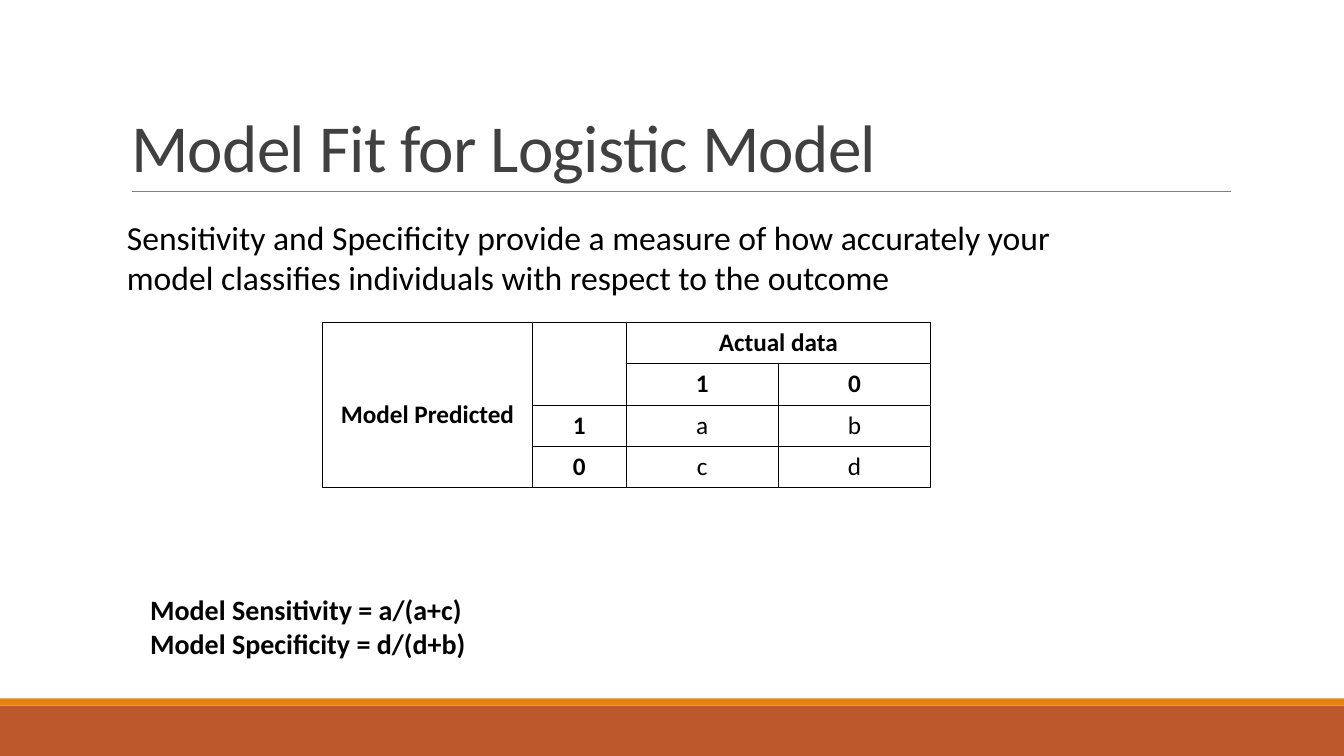
from dataclasses import dataclass

from lxml import etree
from pptx import Presentation
from pptx.dml.color import RGBColor
from pptx.enum.shapes import MSO_CONNECTOR, MSO_SHAPE
from pptx.enum.text import MSO_ANCHOR, MSO_AUTO_SIZE, PP_ALIGN
from pptx.oxml.ns import qn
from pptx.util import Inches, Pt

RECTANGLE = MSO_SHAPE.RECTANGLE
STRAIGHT = MSO_CONNECTOR.STRAIGHT
CENTER, LEFT = PP_ALIGN.CENTER, PP_ALIGN.LEFT
BOTTOM = MSO_ANCHOR.BOTTOM
FIT_SHAPE = MSO_AUTO_SIZE.SHAPE_TO_FIT_TEXT
NO_FIT = MSO_AUTO_SIZE.NONE

FONT = "Calibri"
COLORS = {
    "rust": "BD582C",
    "orange": "E48312",
    "rule": "808080",
    "title": "404040",
    "text": "000000",
}
BORDER_WIDTH = Pt(1)


@dataclass
class Band:
    top: float
    height: float
    color: str


@dataclass
class Note:
    left: float
    top: float
    width: float
    height: float
    size: int
    bold: bool
    wrap: bool
    lines: list[str]


@dataclass
class Label:
    row: int
    column: int
    text: str
    bold: bool = True


BANDS = [Band(7, 0.5, "rust"), Band(6.93, 0.07, "orange")]

NOTES = [
    Note(1.39, 5.83, 3.36, 0.77, 20, True, False,
         ["Model Sensitivity = a/(a+c)", "Model Specificity = d/(d+b)"]),
    Note(1.16, 2.1, 10.12, 0.91, 24, False, True,
         ["Sensitivity and Specificity provide a measure of how accurately your "
          "model classifies individuals with respect to the outcome"]),
]

COLUMN_WIDTHS = [2.08, 0.93, 1.51, 1.51]
ROW_HEIGHT = 0.41
ROW_COUNT = 4
# First and last cell of each merged area, as (row, column)
MERGES = [((0, 1), (1, 1)), ((0, 2), (0, 3)), ((1, 0), (3, 0))]
LABELS = [
    Label(0, 2, "Actual data"),
    Label(1, 0, "Model Predicted"),
    Label(1, 2, "1"), Label(1, 3, "0"),
    Label(2, 1, "1"), Label(2, 2, "a", False), Label(2, 3, "b", False),
    Label(3, 1, "0"), Label(3, 2, "c", False), Label(3, 3, "d", False),
]


def rgb(color: str) -> RGBColor:
    return RGBColor.from_string(COLORS[color])


def write(paragraph, text: str, size: int, bold: bool = False,
          color: str = "text", alignment=LEFT):
    run = paragraph.add_run()
    run.text = text
    paragraph.alignment = alignment
    formats = {"name": FONT, "size": Pt(size), "bold": bold}
    for attribute, value in formats.items():
        setattr(run.font, attribute, value)
    run.font.color.rgb = rgb(color)
    return run


def draw_band(slide, band: Band, width: int) -> None:
    shape = slide.shapes.add_shape(
        RECTANGLE, 0, Inches(band.top), width, Inches(band.height))
    shape.shadow.inherit = False
    shape.fill.solid()
    shape.fill.fore_color.rgb = rgb(band.color)
    shape.line.fill.background()


def draw_rule(slide) -> None:
    rule = slide.shapes.add_connector(
        STRAIGHT, Inches(1.31), Inches(1.9), Inches(12.21), Inches(1.9))
    rule.line.color.rgb = rgb("rule")
    rule.line.width = Pt(0.5)
    etree.SubElement(rule._element.spPr, qn("a:effectLst"))


def draw_title(slide, text: str) -> None:
    title = slide.shapes.title
    places = {"left": 1.2, "top": 0.31, "width": 11, "height": 1.59}
    for attribute, value in places.items():
        setattr(title, attribute, Inches(value))
    frame = title.text_frame
    formats = {"word_wrap": True, "auto_size": NO_FIT, "vertical_anchor": BOTTOM}
    for attribute, value in formats.items():
        setattr(frame, attribute, value)
    paragraph = frame.paragraphs[0]
    paragraph.line_spacing = 0.85
    run = write(paragraph, text, 48, color="title")
    run.font._element.set("spc", "-50")


def draw_note(slide, note: Note) -> None:
    box = slide.shapes.add_textbox(
        Inches(note.left), Inches(note.top), Inches(note.width), Inches(note.height))
    frame = box.text_frame
    frame.word_wrap = note.wrap
    frame.auto_size = FIT_SHAPE
    for index, line in enumerate(note.lines):
        paragraph = frame.add_paragraph() if index else frame.paragraphs[0]
        write(paragraph, line, note.size, note.bold)


def set_borders(cell, hidden: str) -> None:
    properties = cell._tc.get_or_add_tcPr()
    for side in "LRTB":
        line = etree.SubElement(
            properties, qn(f"a:ln{side}"), w=str(int(BORDER_WIDTH)))
        if side == hidden:
            etree.SubElement(line, qn("a:noFill"))
        else:
            fill = etree.SubElement(line, qn("a:solidFill"))
            etree.SubElement(fill, qn("a:srgbClr"), val=COLORS["text"])


def draw_table(slide) -> None:
    table = slide.shapes.add_table(
        ROW_COUNT, len(COLUMN_WIDTHS), Inches(3.2), Inches(3.2),
        Inches(sum(COLUMN_WIDTHS)), Inches(ROW_HEIGHT * ROW_COUNT)).table
    table.first_row = False
    table.horz_banding = False
    for column, width in zip(table.columns, COLUMN_WIDTHS):
        column.width = Inches(width)
    for row in table.rows:
        row.height = Inches(ROW_HEIGHT)

    # The two left cells share an edge without a line
    hidden_sides = {(0, 0): "B", (1, 0): "T"}
    for row in range(ROW_COUNT):
        for column in range(len(COLUMN_WIDTHS)):
            cell = table.cell(row, column)
            set_borders(cell, hidden_sides.get((row, column), ""))
            cell.fill.background()
    for first, last in MERGES:
        table.cell(*first).merge(table.cell(*last))
    for label in LABELS:
        paragraph = table.cell(label.row, label.column).text_frame.paragraphs[0]
        write(paragraph, label.text, 18, label.bold, alignment=CENTER)
    # Lower the row heading by one line
    table.cell(1, 0).margin_top = Inches(0.35)


def main() -> None:
    presentation = Presentation()
    presentation.slide_width = Inches(13.33)
    presentation.slide_height = Inches(7.5)
    slide = presentation.slides.add_slide(presentation.slide_layouts[5])

    # Footer bands and title rule
    for band in BANDS:
        draw_band(slide, band, presentation.slide_width)
    draw_rule(slide)

    # Title, classification table and text
    draw_title(slide, "Model Fit for Logistic Model")
    draw_table(slide)
    for note in NOTES:
        draw_note(slide, note)
    presentation.save("out.pptx")


if __name__ == "__main__":
    main()
